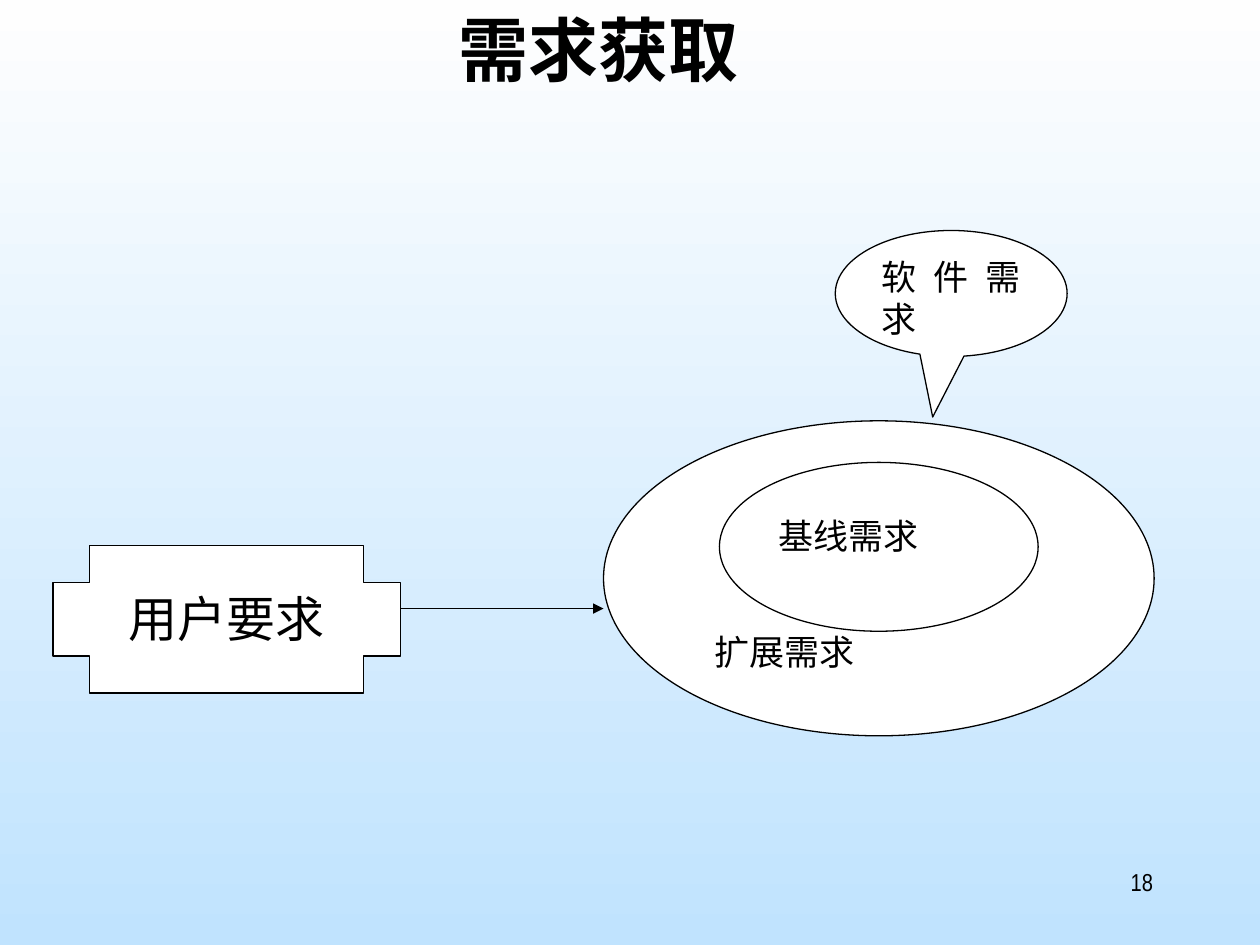
from lxml import etree
from pptx import Presentation
from pptx.dml.color import RGBColor
from pptx.enum.shapes import MSO_CONNECTOR, MSO_SHAPE
from pptx.enum.text import MSO_ANCHOR, PP_ALIGN
from pptx.oxml.ns import qn
from pptx.util import Inches, Pt

PLUS, OVAL, CALLOUT = MSO_SHAPE.CROSS, MSO_SHAPE.OVAL, MSO_SHAPE.OVAL_CALLOUT
STRAIGHT = MSO_CONNECTOR.STRAIGHT
TOP = MSO_ANCHOR.TOP
CENTER, JUSTIFY, RIGHT = PP_ALIGN.CENTER, PP_ALIGN.JUSTIFY, PP_ALIGN.RIGHT

COLORS = {"ink": "000000", "paper": "FFFFFF", "sky_top": "FEFEFE", "sky_bottom": "C0E3FE"}
SERIF = "Times New Roman"


def color(name):
    return RGBColor.from_string(COLORS[name])


def write(shape, text, alignment, font_values, left=0.1, top=0.05):
    frame = shape.text_frame
    frame_values = {
        "word_wrap": True, "vertical_anchor": TOP,
        "margin_left": Inches(left), "margin_right": Inches(0.1),
        "margin_top": Inches(top), "margin_bottom": Inches(0.05),
    }
    for name, value in frame_values.items():
        setattr(frame, name, value)
    paragraph = frame.paragraphs[0]
    paragraph.alignment = alignment
    run = paragraph.add_run()
    run.text = text
    for name, value in font_values.items():
        setattr(run.font, name, value)
    run.font.color.rgb = color("ink")


presentation = Presentation()
presentation.slide_width, presentation.slide_height = Inches(10), Inches(7.5)
slide = presentation.slides.add_slide(presentation.slide_layouts[6])

# Background, light at the top
background = slide.background.fill
background.gradient()
background.gradient_angle = 270
for stop, name in zip(background.gradient_stops, ("sky_top", "sky_bottom")):
    stop.color.rgb = color(name)

# Title and page number
labels = [
    ("需求获取", (0.5, 0, 8.5, 1.25), CENTER,
     {"name": "Noto Sans CJK SC", "size": Pt(40), "bold": True}),
    ("18", (7.17, 6.83, 2.08, 0.5), RIGHT, {"name": "Arial Narrow", "size": Pt(14)}),
]
for text, box, alignment, font_values in labels:
    textbox = slide.shapes.add_textbox(*map(Inches, box))
    write(textbox, text, alignment, font_values)

# Requirement shapes: kind, box, adjustments, text, alignment, size, left and top margin
nodes = [
    (PLUS, (0.42, 4.33, 2.76, 1.17), [0.25], "用户要求", CENTER, 28, 0.1, 0.05),
    (OVAL, (4.79, 3.34, 4.37, 2.5), [], "扩展需求", JUSTIFY, 20, 0.24, 1.3),
    (OVAL, (5.71, 3.67, 2.53, 1.34), [], "基线需求", JUSTIFY, 20, 0.1, 0.22),
    (CALLOUT, (6.63, 1.83, 1.84, 1), [-0.08, 0.98], "软件需求", JUSTIFY, 20, 0.1, 0.05),
]
for kind, box, adjustments, text, alignment, size, left, top in nodes:
    shape = slide.shapes.add_shape(kind, *map(Inches, box))
    shape.shadow.inherit = False
    for index, value in enumerate(adjustments):
        shape.adjustments[index] = value
    shape.fill.solid()
    shape.fill.fore_color.rgb = color("paper")
    shape.line.color.rgb = color("ink")
    shape.line.width = Pt(0.75)
    write(shape, text, alignment, {"name": SERIF, "size": Pt(size)}, left, top)

# Arrow from user wishes to software requirements
arrow = slide.shapes.add_connector(STRAIGHT, *map(Inches, (3.18, 4.83, 4.79, 4.83)))
arrow.line.color.rgb = color("ink")
arrow.line.width = Pt(0.75)
etree.SubElement(arrow.line._get_or_add_ln(), qn("a:tailEnd"), type="triangle")
etree.SubElement(arrow._element.spPr, qn("a:effectLst"))

presentation.save("out.pptx")
